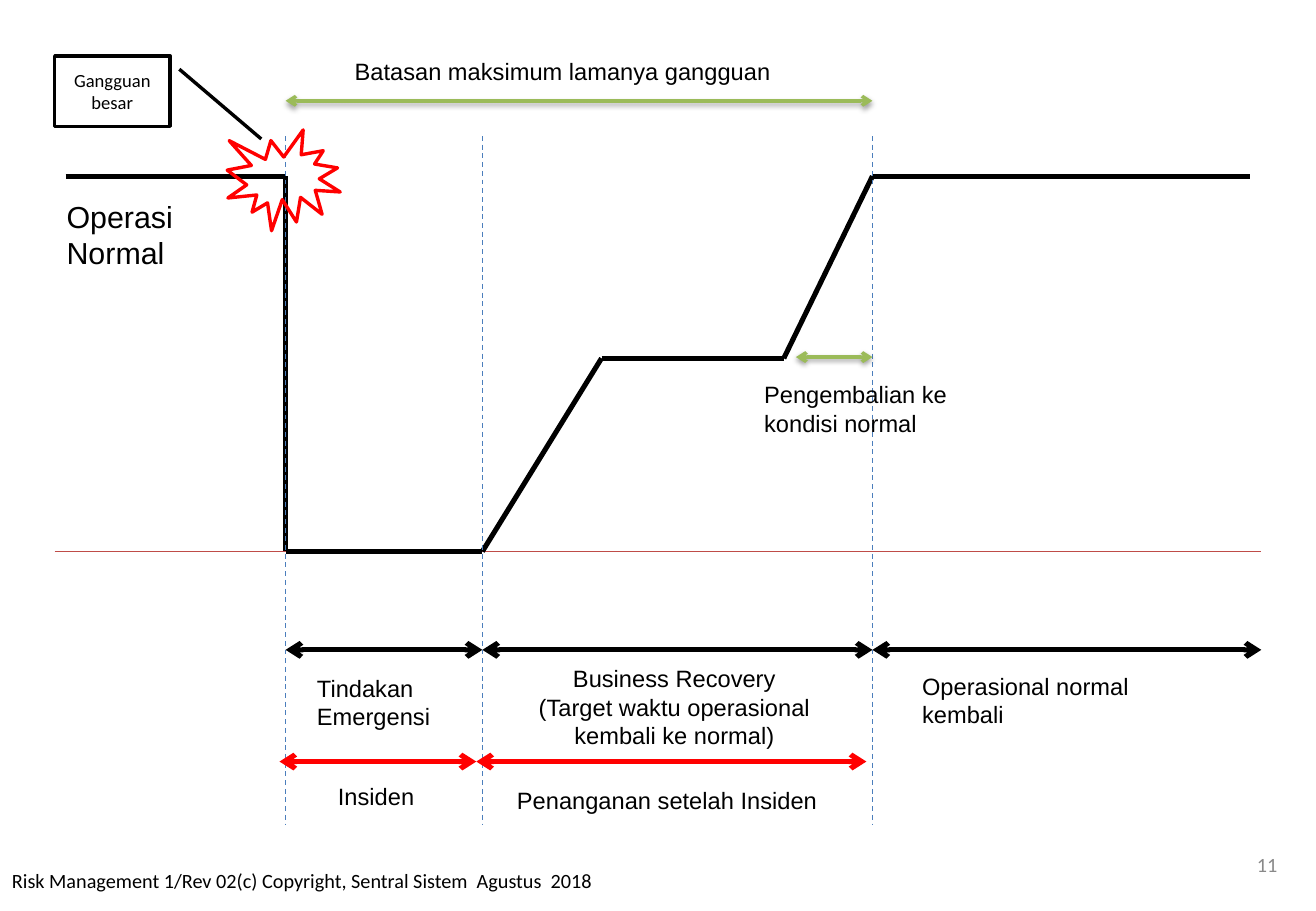
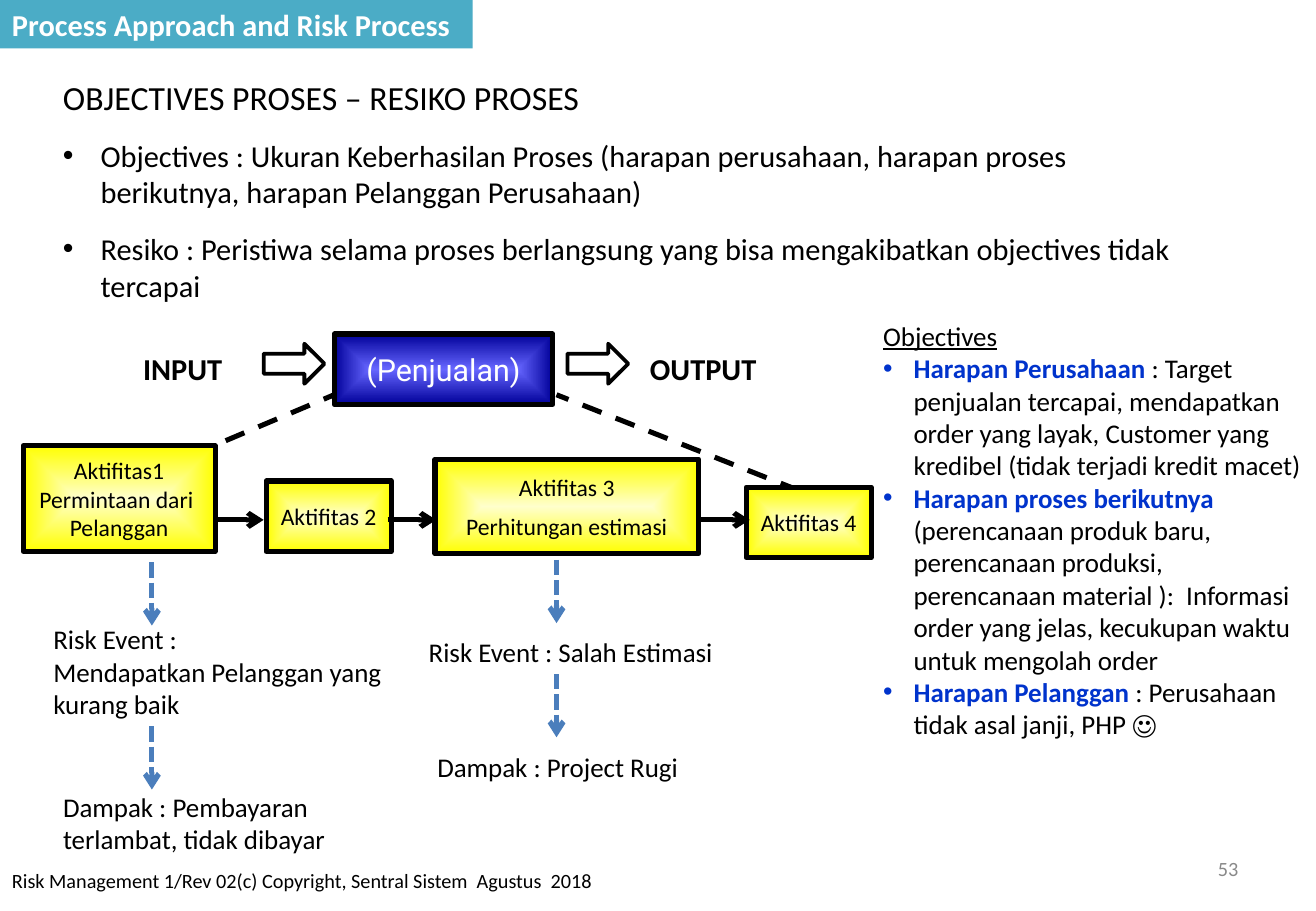
from dataclasses import dataclass

from lxml.etree import SubElement
from pptx import Presentation
from pptx.dml.color import RGBColor
from pptx.enum.dml import MSO_LINE
from pptx.enum.shapes import MSO_CONNECTOR, MSO_SHAPE
from pptx.enum.text import MSO_ANCHOR, PP_ALIGN
from pptx.oxml.ns import qn
from pptx.util import Inches, Pt


@dataclass(frozen=True)
class Theme:
    black: str = "000000"
    white: str = "FFFFFF"
    grey: str = "898989"
    red: str = "FF0000"
    baseline: str = "BF4C48"
    blue: str = "4B7EBC"
    green: str = "9BBB59"
    teal: str = "4BACC6"
    emphasis: str = "0033CC"
    process: tuple = ("6666FF", "000099")
    activity: tuple = ("FFFFCC", "FFFF00")
    body_font: str = "Calibri"
    diagram_font: str = "Arial"
    process_font: str = "Roboto"
    callout: int = 11
    small: int = 12
    label: int = 14
    note: int = 16
    body: int = 18
    heading: int = 20
    thin: float = 0.75
    medium: float = 2
    thick: float = 3


T = Theme()
CENTER = PP_ALIGN.CENTER


def rgb(value):
    return RGBColor.from_string(value)


def add_run(p, text, size, font=T.body_font, color=T.black, bold=False):
    r = p.add_run()
    r.text = text
    r.font.size = Pt(size)
    r.font.name = font
    r.font.bold = bold
    r.font.color.rgb = rgb(color)
    return r


def write(tf, lines, size, align=PP_ALIGN.LEFT, gap=0, **style):
    """Write one paragraph per line, with gap points between them."""
    for i, line in enumerate(lines):
        p = tf.add_paragraph() if i else tf.paragraphs[0]
        p.alignment = align
        if i and gap:
            p.space_before = Pt(gap)
        add_run(p, line, size, **style)


def add_textbox(slide, box, wrap=True):
    tb = slide.shapes.add_textbox(*map(Inches, box))
    tb.text_frame.word_wrap = wrap
    return tb


def add_label(slide, box, lines, size, wrap=True, **style):
    tb = add_textbox(slide, box, wrap)
    write(tb.text_frame, lines, size, **style)
    return tb


def add_bullet(tf, indent):
    p = tf.add_paragraph()
    pPr = p._p.get_or_add_pPr()
    pPr.set("marL", str(Inches(indent)))
    pPr.set("indent", str(-Inches(indent)))
    SubElement(pPr, qn("a:buFont"), typeface="Arial")
    SubElement(pPr, qn("a:buChar"), char="•")
    return p


def add_outline(slide, kind, box, color, width):
    sp = slide.shapes.add_shape(kind, *map(Inches, box))
    sp.shadow.inherit = False
    sp.fill.background()
    sp.line.color.rgb = rgb(color)
    sp.line.width = Pt(width)
    return sp


def add_glow_box(slide, box, colors, lines, size, **style):
    """Bordered box whose gradient runs from its centre to its edges."""
    sp = add_outline(slide, MSO_SHAPE.RECTANGLE, box, T.black, T.thick)
    sp.fill.gradient()
    for stop, color in zip(sp.fill.gradient_stops, colors):
        stop.color.rgb = rgb(color)
    grad = sp._element.spPr.find(qn("a:gradFill"))
    grad.remove(grad.find(qn("a:lin")))
    glow = SubElement(grad, qn("a:path"), path="shape")
    SubElement(glow, qn("a:fillToRect"), dict.fromkeys("ltrb", "50000"))
    tf = sp.text_frame
    tf.word_wrap = False
    tf.vertical_anchor = MSO_ANCHOR.MIDDLE
    write(tf, lines, size, align=CENTER, **style)


def add_line(slide, start, end, color=T.black, width=T.thick, dash=None,
             arrows=(), shadow=False):
    """Straight line; arrows lists the ends ("head", "tail") that carry one."""
    ln = slide.shapes.add_connector(
        MSO_CONNECTOR.STRAIGHT, *map(Inches, (*start, *end)))
    ln.line.color.rgb = rgb(color)
    ln.line.width = Pt(width)
    if dash is not None:
        ln.line.dash_style = dash
    spPr = ln._element.spPr
    for side in arrows:
        SubElement(spPr.find(qn("a:ln")), qn(f"a:{side}End"), type="arrow")
    effects = SubElement(spPr, qn("a:effectLst"))
    if shadow:
        outer = SubElement(effects, qn("a:outerShdw"), blurRad=str(Pt(3.1)),
                           dist=str(Pt(1.6)), dir="5400000", rotWithShape="0")
        black = SubElement(outer, qn("a:srgbClr"), val=T.black)
        SubElement(black, qn("a:alpha"), val="38000")


def add_span(slide, left, right, y, **style):
    add_line(slide, (left, y), (right, y), arrows=("head", "tail"), **style)


def add_footer(slide, number, left, top):
    add_label(slide, (0, 7.1, 6.42, 0.4),
              ["Risk Management 1/Rev 02(c) Copyright, Sentral Sistem  Agustus  2018"],
              T.small)
    tb = add_label(slide, (left, top, 2.53, 0.4), [number], T.small,
                   align=PP_ALIGN.RIGHT, color=T.grey)
    tb.text_frame.vertical_anchor = MSO_ANCHOR.MIDDLE


def build_timeline(slide):
    incident, recovery, normal, end = 2.35, 3.97, 7.18, 10.38
    high, middle, low = 1.45, 2.95, 4.54
    add_footer(slide, "11", 8.08, 6.92)

    add_line(slide, (0.45, low), (end, low), T.baseline, T.thin)
    level = [(0.54, high), (incident, high), (incident, low), (recovery, low),
             (4.95, middle), (6.45, middle), (normal, high), (10.29, high)]
    for start, stop in zip(level, level[1:]):
        add_line(slide, start, stop)

    phases = (incident, recovery, normal, end)
    for left, right in zip(phases, phases[1:]):
        add_span(slide, left, right, 5.35)
    for x in phases[:3]:
        add_line(slide, (x, 1.12), (x, 6.79), T.blue, T.thin, MSO_LINE.DASH)
    for left, right in ((incident, recovery), (recovery, normal)):
        add_span(slide, left - 0.05, right - 0.05, 6.27, color=T.red)
    for left, y in ((incident, 0.83), (6.55, 2.94)):
        add_span(slide, left, normal, y, color=T.green, width=T.medium, shadow=True)

    add_outline(slide, MSO_SHAPE.EXPLOSION1, (1.87, 1.07, 0.93, 0.83),
                T.red, T.medium)
    callout = add_outline(slide, MSO_SHAPE.LINE_CALLOUT_1,
                          (0.45, 0.46, 0.95, 0.58), T.black, T.medium)
    callout.fill.solid()
    callout.fill.fore_color.rgb = rgb(T.white)
    callout._element.spPr.find(qn("a:xfrm")).set("flipH", "1")
    for i, value in enumerate((0.19, -0.08, 1.18, -0.79)):
        callout.adjustments[i] = value
    callout.text_frame.word_wrap = True
    callout.text_frame.vertical_anchor = MSO_ANCHOR.MIDDLE
    write(callout.text_frame, ["Gangguan besar"], T.callout, align=CENTER)

    add_label(slide, (0.45, 1.58, 1.16, 0.71), ["Operasi", "Normal"], T.body,
              wrap=False, font=T.diagram_font)
    left = PP_ALIGN.LEFT
    labels = [
        ((2.51, 5.5, 1.19, 0.57), ["Tindakan", "Emergensi"], False, left),
        ((2.65, 6.39, 0.89, 0.34), ["Insiden"], False, CENTER),
        ((4.15, 6.42, 2.68, 0.34), ["Penanganan setelah Insiden"], False, CENTER),
        ((4.06, 5.42, 2.98, 0.81),
         ["Business Recovery", "(Target waktu operasional kembali ke normal)"],
         True, CENTER),
        ((7.49, 5.48, 2.17, 0.57), ["Operasional normal kembali"], True, left),
        ((2.82, 0.42, 4.22, 0.34), ["Batasan maksimum lamanya gangguan"], True, left),
        ((6.19, 3.08, 2.03, 0.57), ["Pengembalian ke kondisi normal"], True, left),
    ]
    for box, lines, wrap, align in labels:
        add_label(slide, box, lines, T.label, wrap, align=align,
                  font=T.diagram_font)


def add_definitions(slide):
    tf = add_textbox(slide, (0.42, 0.58, 9.5, 2)).text_frame
    write(tf, ["OBJECTIVES PROSES – RESIKO PROSES"], T.heading)
    for text in (
        "Objectives : Ukuran Keberhasilan Proses (harapan perusahaan, harapan "
        "proses berikutnya, harapan Pelanggan Perusahaan)",
        "Resiko : Peristiwa selama proses berlangsung yang bisa mengakibatkan "
        "objectives tidak tercapai",
    ):
        p = add_bullet(tf, 0.31)
        p.space_before = Pt(12)
        add_run(p, text, T.body)


def add_objectives(slide):
    tf = add_textbox(slide, (7.17, 2.58, 3.67, 3.6)).text_frame
    add_run(tf.paragraphs[0], "Objectives", T.note).font.underline = True
    for name, text in (
        ("Harapan Perusahaan ",
         ": Target penjualan tercapai, mendapatkan order yang layak, Customer "
         "yang kredibel (tidak terjadi kredit macet)"),
        ("Harapan proses berikutnya ",
         "(perencanaan produk baru, perencanaan produksi, perencanaan "
         "material ):  Informasi order yang jelas, kecukupan waktu untuk "
         "mengolah order"),
        ("Harapan Pelanggan ", ": Perusahaan tidak asal janji, PHP ☺"),
    ):
        p = add_bullet(tf, 0.25)
        add_run(p, name, T.note, color=T.emphasis, bold=True)
        add_run(p, text, T.note)


def build_process(slide):
    add_footer(slide, "53", 7.76, 6.95)
    add_definitions(slide)
    add_objectives(slide)

    add_glow_box(slide, (2.75, 2.75, 1.8, 0.58), T.process, ["(Penjualan)"],
                 T.body, font=T.process_font, color=T.white)
    for start, end in (((1.05, 3.97), (2.75, 3.25)), ((6.58, 4.04), (4.58, 3.25))):
        add_line(slide, start, end, dash=MSO_LINE.DASH)
    for box, lines, gap in (
        ((0.19, 3.67, 1.58, 0.87), ["Aktifitas1", "Permintaan dari ", "Pelanggan"], 0),
        ((2.19, 3.96, 1.03, 0.58), ["Aktifitas 2"], 0),
        ((3.58, 3.78, 2.17, 0.78), ["Aktifitas 3", "Perhitungan estimasi"], 6),
        ((6.14, 4.01, 1.03, 0.58), ["Aktifitas 4"], 0),
    ):
        add_glow_box(slide, box, T.activity, lines, T.label, gap=gap)
    for x in (1.77, 3.19, 5.77):
        add_line(slide, (x, 4.28), (x + 0.4, 4.28), arrows=["tail"])
    for x, y in ((4.58, 4.61), (4.58, 5.55), (1.25, 4.63), (1.25, 5.98)):
        add_line(slide, (x, y), (x, y + 0.52), T.blue, dash=MSO_LINE.SQUARE_DOT,
                 arrows=["tail"])

    for box, lines, wrap in (
        ((3.43, 5.18, 2.62, 0.37), ["Risk Event : Salah Estimasi"], False),
        ((3.5, 6.13, 2.21, 0.37), ["Dampak : Project Rugi"], False),
        ((0.34, 5.08, 3.08, 0.91),
         ["Risk Event :", "Mendapatkan Pelanggan yang kurang baik"], True),
        ((0.42, 6.46, 3.01, 0.64),
         ["Dampak : Pembayaran terlambat, tidak dibayar"], True),
    ):
        add_label(slide, box, lines, T.note, wrap)
    for x in (2.17, 4.67):
        add_outline(slide, MSO_SHAPE.RIGHT_ARROW, (x, 2.83, 0.5, 0.33),
                    T.black, 2.25)
    for x, width, text in ((1.08, 0.86, "INPUT"), (5.25, 1.09, "OUTPUT")):
        add_label(slide, (x, 2.83, width, 0.4), [text], T.body, wrap=False,
                  bold=True)

    banner = add_label(slide, (0, 0, 3.89, 0.4),
                       ["Process Approach and Risk Process"], T.body,
                       wrap=False, color=T.white, bold=True)
    banner.fill.solid()
    banner.fill.fore_color.rgb = rgb(T.teal)


def main():
    prs = Presentation()
    prs.slide_width, prs.slide_height = Inches(10.83), Inches(7.5)
    for build in (build_timeline, build_process):
        build(prs.slides.add_slide(prs.slide_layouts[6]))
    prs.save("out.pptx")


if __name__ == "__main__":
    main()
